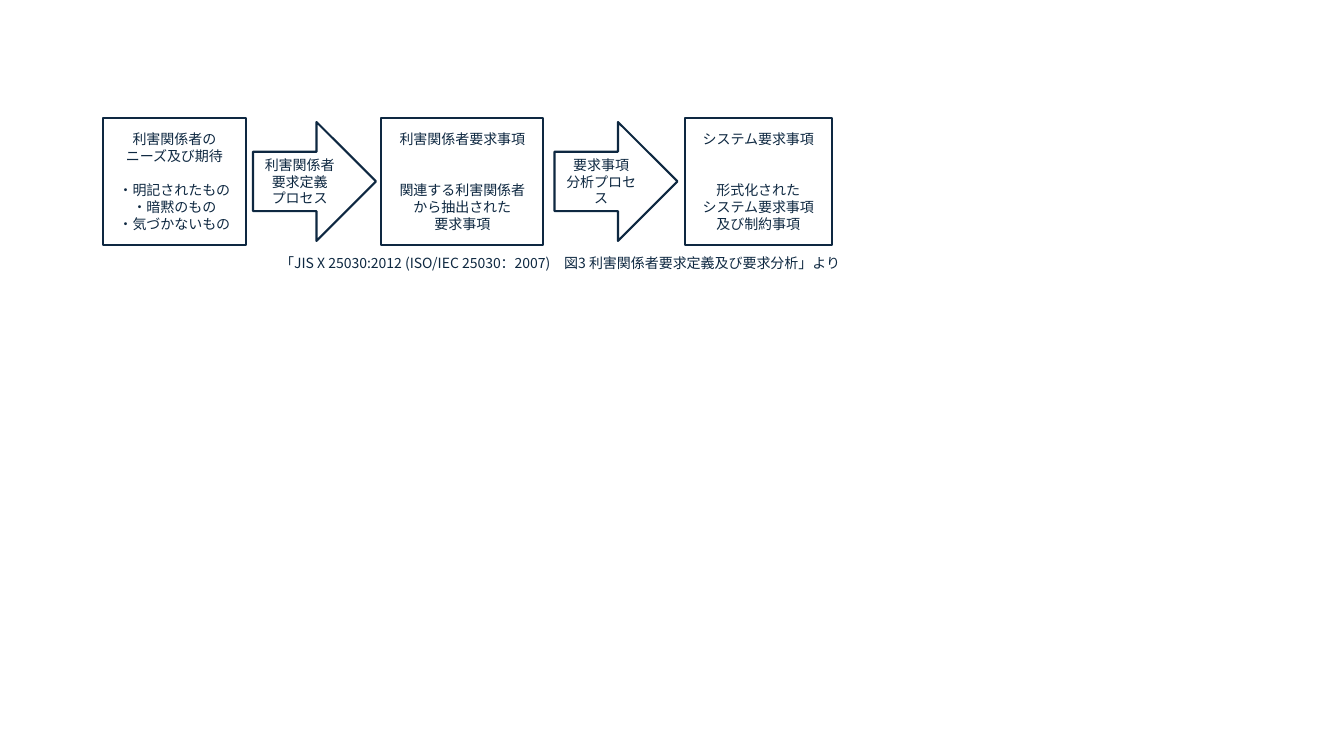
from pptx import Presentation
from pptx.dml.color import RGBColor
from pptx.enum.shapes import MSO_SHAPE
from pptx.enum.text import MSO_ANCHOR, MSO_AUTO_SIZE, PP_ALIGN
from pptx.oxml.ns import qn
from pptx.util import Inches, Pt
from lxml.etree import SubElement

WIDE, HIGH = Inches(13.33), Inches(7.5)
FONT, SIZE, PITCH = "Noto Sans CJK JP", 10, 12
HUES = {"ink": "0E2841", "paper": "FFFFFF"}

# All lengths are percent of the slide's width or height.
MID, BOX_H, ARROW_W, ARROW_H = 24, 16.8, 9.15, 15.73
# left, width, heading, blank lines below it, body
BOXES = [
    (7.65, 10.65, "利害関係者の\nニーズ及び期待", 1,
     "・明記されたもの\n・暗黙のもの\n・気づかないもの"),
    (28.36, 12.08, "利害関係者要求事項", 2,
     "関連する利害関係者\nから抽出された\n要求事項"),
    (50.94, 10.95, "システム要求事項", 2,
     "形式化された\nシステム要求事項\n及び制約事項"),
]
ARROWS = [
    (18.83, "利害関係者\n要求定義\nプロセス"),
    (41.26, "要求事項\n分析プロセス"),
]
SOURCE = ("「JIS X 25030:2012 (ISO/IEC 25030：2007)\u3000"
          "図3 利害関係者要求定義及び要求分析」より ")


def hue(name):
    """Look up a colour by name."""
    return RGBColor.from_string(HUES[name])


def area(left, top, width, height):
    """Turn percent of the slide into lengths."""
    return (int(WIDE * left / 100), int(HIGH * top / 100),
            int(WIDE * width / 100), int(HIGH * height / 100))


def write(frame, text, align):
    """Fill a frame, one paragraph a line, and format its runs."""
    frame.text = text
    for para in frame.paragraphs:
        para.alignment = align
        for run in para.runs:
            font = run.font
            font.size, font.name = Pt(SIZE), FONT
            font.color.rgb = hue("ink")
            SubElement(font._element, qn("a:ea")).set("typeface", FONT)


def block(slide, kind, left, width, height, text):
    """Draw an outlined shape, centred on the flow's middle line."""
    item = slide.shapes.add_shape(
        kind, *area(left, MID - height / 2, width, height))
    item.shadow.inherit = False
    item.fill.solid()
    item.fill.fore_color.rgb = hue("paper")
    item.line.color.rgb = hue("ink")
    item.line.width = Pt(1.5)
    frame = item.text_frame
    frame.word_wrap = True
    frame.vertical_anchor = MSO_ANCHOR.MIDDLE
    write(frame, text, PP_ALIGN.CENTER)
    return frame


def box(slide, left, width, head, gap, body):
    """Draw a box with a heading set apart from its body."""
    frame = block(slide, MSO_SHAPE.RECTANGLE, left, width, BOX_H,
                  head + "\n" + body)
    first = len(head.split("\n"))
    frame.paragraphs[first].space_before = Pt(gap * PITCH)


def arrow(slide, left, text):
    """Draw a process arrow."""
    block(slide, MSO_SHAPE.RIGHT_ARROW, left, ARROW_W, ARROW_H, text)


def note(slide, text):
    """Write the source line below the flow."""
    item = slide.shapes.add_textbox(*area(18.3, 33.07, 45.16, 3.6))
    frame = item.text_frame
    frame.word_wrap = False
    frame.auto_size = MSO_AUTO_SIZE.SHAPE_TO_FIT_TEXT
    write(frame, text, PP_ALIGN.RIGHT)


def main():
    """Build the slide and save it."""
    deck = Presentation()
    deck.slide_width, deck.slide_height = WIDE, HIGH
    slide = deck.slides.add_slide(deck.slide_layouts[6])
    for row in BOXES:
        box(slide, *row)
    note(slide, SOURCE)
    for row in ARROWS:
        arrow(slide, *row)
    deck.save("out.pptx")


main()
